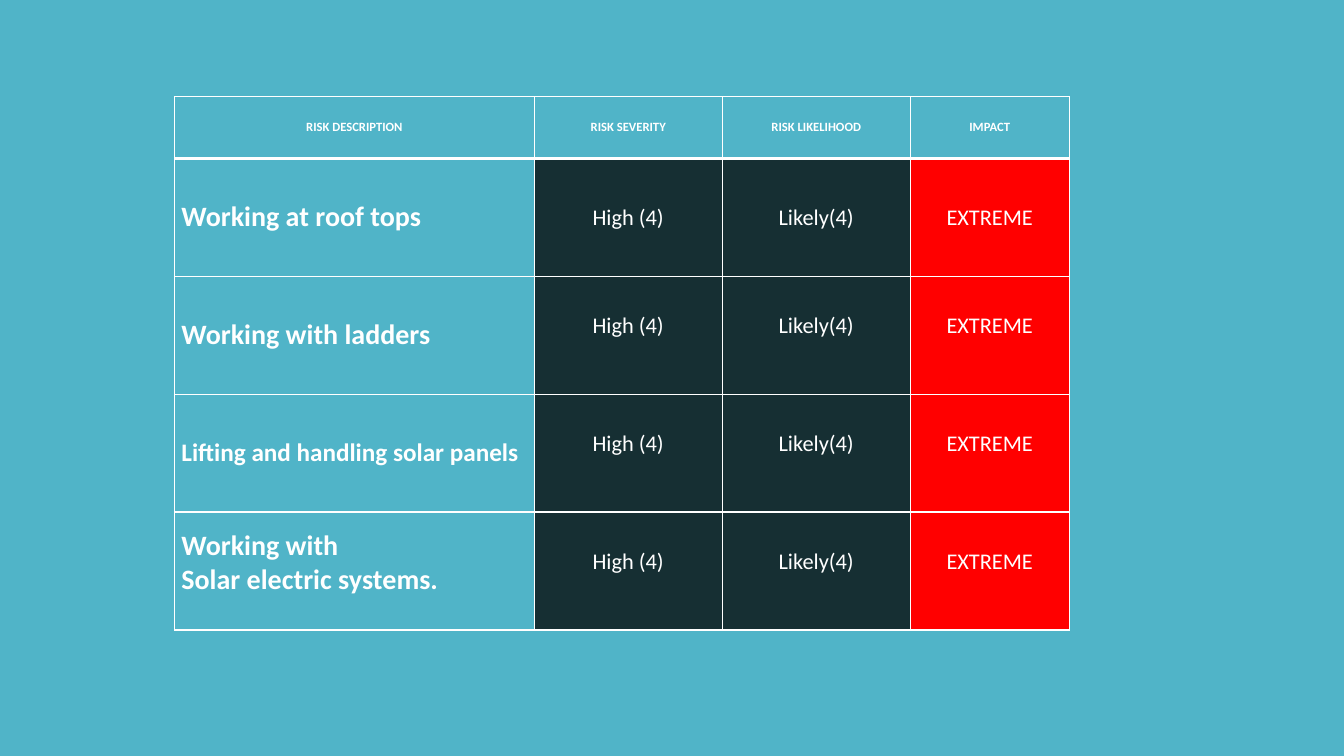
"""Build a slide with a risk assessment table."""
from lxml import etree
from pptx import Presentation
from pptx.dml.color import RGBColor
from pptx.enum import text
from pptx.oxml import ns
from pptx.util import Pt

TEAL, DARK, RED, WHITE = "50B4C8", "162F33", "FF0000", "FFFFFF"


def paint(fill, color):
    fill.solid()
    fill.fore_color.rgb = RGBColor.from_string(color)


def write(cell, content, size=16, bold=False, align=text.PP_ALIGN.CENTER, bottom=0):
    cell.vertical_anchor = text.MSO_ANCHOR.MIDDLE
    cell.margin_left = cell.margin_right = Pt(5)
    cell.margin_top, cell.margin_bottom = Pt(0), Pt(bottom)
    cell.text_frame.text = content
    for paragraph in cell.text_frame.paragraphs:
        paragraph.alignment = align
        font = paragraph.runs[0].font
        font.name, font.size, font.bold = "Calibri", Pt(size), bold
        paint(font.fill, WHITE)


presentation = Presentation()
presentation.slide_width, presentation.slide_height = Pt(960), Pt(540)
slide = presentation.slides.add_slide(presentation.slide_layouts[6])
paint(slide.background.fill, TEAL)

headers = ["RISK DESCRIPTION", "RISK SEVERITY", "RISK LIKELIHOOD", "IMPACT"]
ratings = ["High (4)", "Likely(4)", "EXTREME"]
risks = [
    ("Working at roof tops", 20, 0, 0),
    ("Working with ladders", 20, 0, 13),
    ("Lifting and handling solar panels", 18, 0, 13),
    ("Working with\nSolar electric systems.", 20, 11, 13),
]
column_widths = [257, 134.3, 134.3, 113.6]
row_heights = [44] + [84.2] * len(risks)

table = slide.shapes.add_table(
    len(row_heights), len(column_widths), Pt(124.6), Pt(69.2),
    Pt(sum(column_widths)), Pt(sum(row_heights))).table
for column, width in zip(table.columns, column_widths):
    column.width = Pt(width)
for row, height in zip(table.rows, row_heights):
    row.height = Pt(height)

for cell, header in zip(table.rows[0].cells, headers):
    write(cell, header, size=9, bold=True)
for row, (risk, size, risk_bottom, rating_bottom) in zip(list(table.rows)[1:], risks):
    description, *rating_cells = row.cells
    write(description, risk, size=size, bold=True,
          align=text.PP_ALIGN.LEFT, bottom=risk_bottom)
    for cell, rating in zip(rating_cells, ratings):
        write(cell, rating, bottom=rating_bottom)

for row_index, row in enumerate(table.rows):
    fills = [TEAL, DARK, DARK, RED] if row_index else [TEAL] * 4
    for cell, color in zip(row.cells, fills):
        properties = cell._tc.get_or_add_tcPr()
        for side in ["lnL", "lnR", "lnT", "lnB"]:
            thick = (row_index, side) in [(0, "lnB"), (1, "lnT")]
            border = etree.SubElement(properties, ns.qn(f"a:{side}"),
                                      w=str(Pt(3 if thick else 1)))
            solid = etree.SubElement(border, ns.qn("a:solidFill"))
            etree.SubElement(solid, ns.qn("a:srgbClr"), val=WHITE)
        paint(cell.fill, color)

presentation.save("out.pptx")
